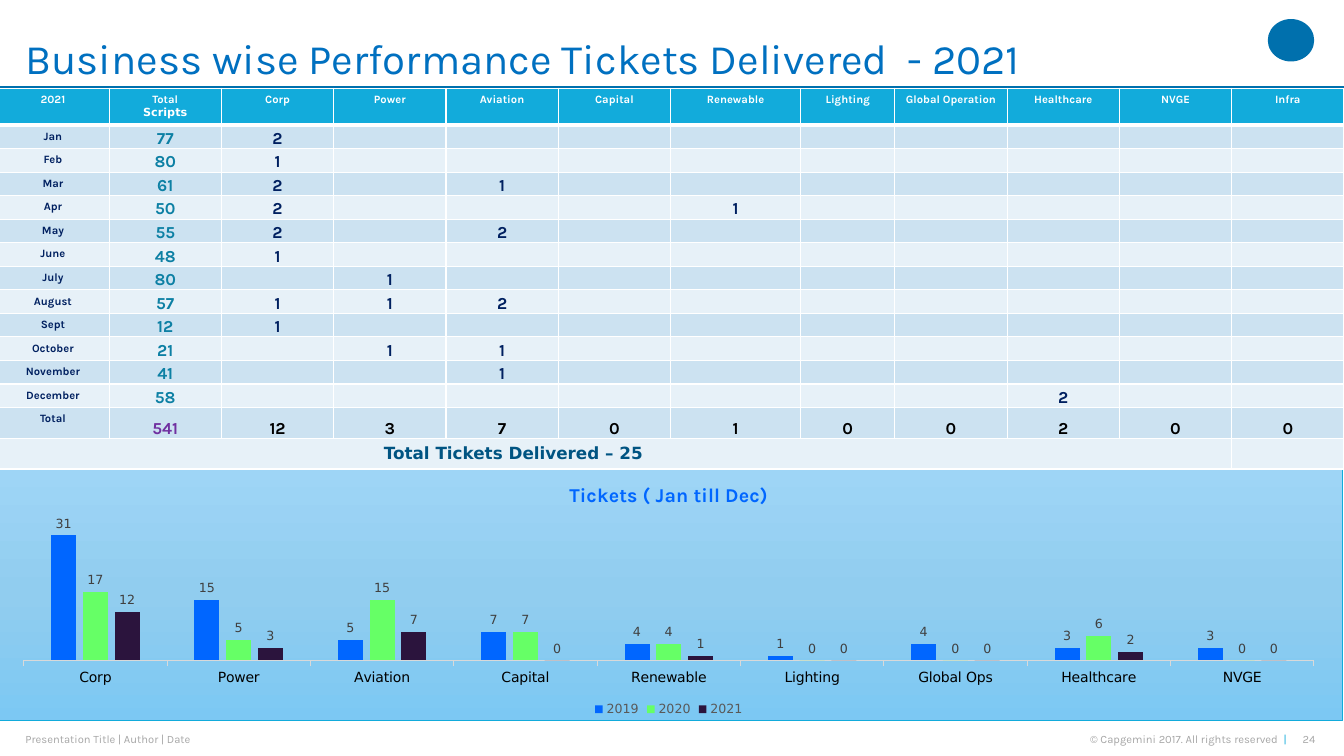
from copy import deepcopy

from lxml.etree import SubElement
from pptx import Presentation
from pptx.chart.data import CategoryChartData
from pptx.dml.color import RGBColor
from pptx.enum.chart import XL_CHART_TYPE, XL_LABEL_POSITION, XL_LEGEND_POSITION, XL_TICK_MARK
from pptx.enum.shapes import MSO_CONNECTOR, MSO_SHAPE
from pptx.enum.text import MSO_ANCHOR, PP_ALIGN
from pptx.oxml import parse_xml
from pptx.oxml.ns import nsdecls, qn
from pptx.util import Cm, Pt

# Content
TITLE = "Business wise Performance Tickets Delivered  - 2021"
HEADER = ["2021", "Total\nScripts", "Corp", "Power", "Aviation", "Capital", "Renewable",
          "Lighting", "Global Operation", "Healthcare", "NVGE", "Infra"]
MONTHS = [  # month, total scripts, tickets by business
    ("Jan", 77, {"Corp": 2}),
    ("Feb", 80, {"Corp": 1}),
    ("Mar", 61, {"Corp": 2, "Aviation": 1}),
    ("Apr", 50, {"Corp": 2, "Renewable": 1}),
    ("May", 55, {"Corp": 2, "Aviation": 2}),
    ("June", 48, {"Corp": 1}),
    ("July", 80, {"Power": 1}),
    ("August", 57, {"Corp": 1, "Power": 1, "Aviation": 2}),
    ("Sept", 12, {"Corp": 1}),
    ("October", 21, {"Power": 1, "Aviation": 1}),
    ("November", 41, {"Aviation": 1}),
    ("December", 58, {"Healthcare": 2}),
]
TOTALS = ["Total", 541, 12, 3, 7, 0, 1, 0, 0, 2, 0, 0]
SUMMARY = "Total Tickets Delivered – 25"
CHART_TITLE = "Tickets ( Jan till Dec)"
BUSINESSES = ["Corp", "Power", "Aviation", "Capital", "Renewable", "Lighting",
              "Global Ops", "Healthcare", "NVGE"]
SERIES = [
    ("2019", "0066FF", [31, 15, 5, 7, 4, 1, 4, 3, 3]),
    ("2020", "66FF66", [17, 5, 15, 7, 4, 0, 0, 6, 0]),
    ("2021", "2B143D", [12, 3, 7, 0, 1, 0, 0, 2, 0]),
]
GREY, CYAN, NAVY = "A6A6A6", "12ABDB", "002060"
FOOTER = [  # left, width, alignment, runs
    (0.64, 13.1, PP_ALIGN.LEFT, [("Presentation Title | Author | Date", GREY)]),
    (25.04, 7.39, PP_ALIGN.RIGHT, [("© Capgemini 2017. All rights reserved  ", GREY), ("|", CYAN)]),
    (32.5, 0.65, PP_ALIGN.RIGHT, [("24", GREY)]),
]
BANDS = ["CCE2F1", "E7F1F8"]
COL_WIDTHS = [2.83] * 6 + [3.28, 2.37] + [2.83] * 4
ROW_HEIGHTS = [0.93] + [0.59] * len(MONTHS) + [0.78, 0.77]


def rgb(value):
    return RGBColor.from_string(value)


def style(font, size, color, name="Karla", bold=False):
    for key, value in {"size": Pt(size), "name": name, "bold": bold}.items():
        setattr(font, key, value)
    font.color.rgb = rgb(color)


def add_run(p, text, size, color, **fmt):
    r = p.add_run()
    r.text = text
    style(r.font, size, color, **fmt)


def add_text(s, box, runs, size, align=PP_ALIGN.LEFT, spacing=None):
    tf = s.shapes.add_textbox(*map(Cm, box)).text_frame
    margins = dict.fromkeys(["margin_left", "margin_right", "margin_top", "margin_bottom"], 0)
    for key, value in {**margins, "word_wrap": True, "vertical_anchor": MSO_ANCHOR.MIDDLE}.items():
        setattr(tf, key, value)
    p = tf.paragraphs[0]
    p.alignment, p.line_spacing = align, spacing
    for text, color in runs:
        add_run(p, text, size, color)


def format_cell(cell, fill, bottom=1):
    tc_pr = cell._tc.get_or_add_tcPr()
    for side, width in {"L": 1, "R": 1, "T": 1, "B": bottom}.items():
        tc_pr.append(parse_xml(
            f'<a:ln{side} {nsdecls("a")} w="{Pt(width)}"><a:solidFill>'
            f'<a:srgbClr val="FFFFFF"/></a:solidFill></a:ln{side}>'))
    cell.fill.solid()
    cell.fill.fore_color.rgb = rgb(fill)


def write_cell(cell, text, size, color):
    p = cell.text_frame.paragraphs[0]
    if text == "":
        SubElement(p._p, qn("a:endParaRPr"), sz="800")
        return
    for i, line in enumerate(str(text).split("\n")):
        p = p if i == 0 else cell.text_frame.add_paragraph()
        p.alignment = PP_ALIGN.CENTER
        add_run(p, line, size, color, bold=True, name="DejaVu Sans" if i else "Karla")


def add_ticket_table(s):
    rows = [HEADER]
    rows += [[month, total] + [sold.get(b, "") for b in HEADER[2:]] for month, total, sold in MONTHS]
    rows += [TOTALS, [""] * len(HEADER)]
    frame = s.shapes.add_table(len(rows), len(HEADER), Cm(-0.08), Cm(2.22),
                               Cm(sum(COL_WIDTHS)), Cm(sum(ROW_HEIGHTS)))
    table = frame.table
    for col, width in zip(table.columns, COL_WIDTHS):
        col.width = Cm(width)
    for row, height in zip(table.rows, ROW_HEIGHTS):
        row.height = Cm(height)
    for i, row in enumerate(rows):
        for j, text in enumerate(row):
            cell = table.cell(i, j)
            if i == 0:
                format_cell(cell, CYAN, bottom=3)
                write_cell(cell, text, 8, "FFFFFF")
                continue
            format_cell(cell, BANDS[(i - 1) % 2])
            if j == 0 or text == "":
                write_cell(cell, text, 8, NAVY)
                continue
            cell.vertical_anchor = MSO_ANCHOR.BOTTOM
            cell.margin_left = cell.margin_right = cell.margin_top = Cm(0.02)
            cell.margin_bottom = 0
            if row is TOTALS:
                color = "7030A0" if j == 1 else "000000"
            else:
                color = "0D80A4" if j == 1 else NAVY
            write_cell(cell, text, 12, color)
    # Summary row
    last = len(rows) - 1
    cell = table.cell(last, 0)
    cell.merge(table.cell(last, len(HEADER) - 2))
    p = cell.text_frame.paragraphs[0]
    p._p.get_or_add_pPr().set("marL", str(Cm(9.5)))
    add_run(p, SUMMARY, 12, "005482", name="DejaVu Sans", bold=True)


def add_ticket_chart(s, box):
    data = CategoryChartData()
    data.categories = BUSINESSES
    for name, _, values in SERIES:
        data.add_series(name, values)
    chart = s.shapes.add_chart(XL_CHART_TYPE.COLUMN_CLUSTERED, *box, data).chart
    style(chart.font, 10, "000000", name="DejaVu Sans")
    p = chart.chart_title.text_frame.paragraphs[0]
    add_run(p, CHART_TITLE, 14, "0066FF", bold=True)
    chart.chart_title.include_in_layout = False
    chart.has_legend = True
    chart.legend.position = XL_LEGEND_POSITION.BOTTOM
    chart.legend.include_in_layout = False
    style(chart.legend.font, 9, "595959", name="DejaVu Sans")
    # Axes
    axis = chart.value_axis
    for key, value in {"visible": False, "has_major_gridlines": False,
                       "minimum_scale": 0, "maximum_scale": 35}.items():
        setattr(axis, key, value)
    axis = chart.category_axis
    axis.major_tick_mark = XL_TICK_MARK.OUTSIDE
    axis.format.line.color.rgb = rgb("D9D9D9")
    axis.format.line.width = Pt(0.75)
    style(axis.tick_labels.font, 10, "000000", name="DejaVu Sans")
    # Columns and their labels
    plot = chart.plots[0]
    for key, value in {"gap_width": 219, "overlap": -27, "vary_by_categories": False}.items():
        setattr(plot, key, value)
    for series, (_, color, _) in zip(plot.series, SERIES):
        series.format.fill.solid()
        series.format.fill.fore_color.rgb = rgb(color)
        labels = series.data_labels
        labels.show_value = True
        labels.position = XL_LABEL_POSITION.OUTSIDE_END
        style(labels.font, 9, "404040", name="DejaVu Sans")
    # Plot area position, as shares of the chart
    plot_area = chart._chartSpace.chart.plotArea
    for old in plot_area.findall(qn("c:layout")):
        plot_area.remove(old)
    layout = parse_xml(f'<c:layout {nsdecls("c")}><c:manualLayout/></c:layout>')
    for tag, value in {"layoutTarget": "inner", "xMode": "edge", "yMode": "edge",
                       "x": 0.02, "y": 0.2, "w": 0.96, "h": 0.56}.items():
        SubElement(layout[0], qn(f"c:{tag}"), val=str(value))
    plot_area.insert(0, layout)


def main():
    prs = Presentation()
    prs.slide_width, prs.slide_height = Cm(33.87), Cm(19.05)
    s = prs.slides.add_slide(prs.slide_layouts[6])

    # Corner mark, footer and title
    sp = s.shapes.add_shape(MSO_SHAPE.OVAL, Cm(31.95), Cm(0.48), Cm(1.17), Cm(1.07))
    sp.shadow.inherit = False
    sp.fill.solid()
    sp.fill.fore_color.rgb = rgb("0070AD")
    sp.line.fill.background()
    for left, width, align, runs in FOOTER:
        add_text(s, (left, 18.47, width, 0.33), runs, 8, align)
    add_text(s, (0.64, 0, 30.9, 3.07), [(TITLE, "0070C0")], 30, spacing=0.9)

    # Rule under the title
    rule = s.shapes.add_connector(MSO_CONNECTOR.STRAIGHT, Cm(-0.03), Cm(2.2), Cm(33.87), Cm(2.2))
    rule.line.color.rgb = rgb("0070AD")
    rule.line.width = Pt(2.25)
    SubElement(rule._element.spPr, qn("a:effectLst"))

    # Gradient panel behind the chart
    top, width, height = Cm(11.81), Cm(33.87), Cm(6.35)
    sp = s.shapes.add_shape(MSO_SHAPE.RECTANGLE, Cm(-0.03), top, width, height)
    sp.shadow.inherit = False
    sp.fill.gradient()
    sp.fill.gradient_angle = 270
    stops = sp._element.spPr.find(qn("a:gradFill")).find(qn("a:gsLst"))
    stops.insert(1, deepcopy(stops[0]))
    for stop, (pos, color) in zip(sp.fill.gradient_stops,
                                  [(0, "9ED5F6"), (0.5, "91CDEF"), (1, "7CC8F3")]):
        stop.position, stop.color.rgb = pos, rgb(color)
    sp.line.color.rgb = rgb(CYAN)
    sp.line.width = Pt(0.5)

    add_ticket_table(s)
    add_ticket_chart(s, (Cm(-0.08), top, width, height))
    prs.save("out.pptx")


if __name__ == "__main__":
    main()
